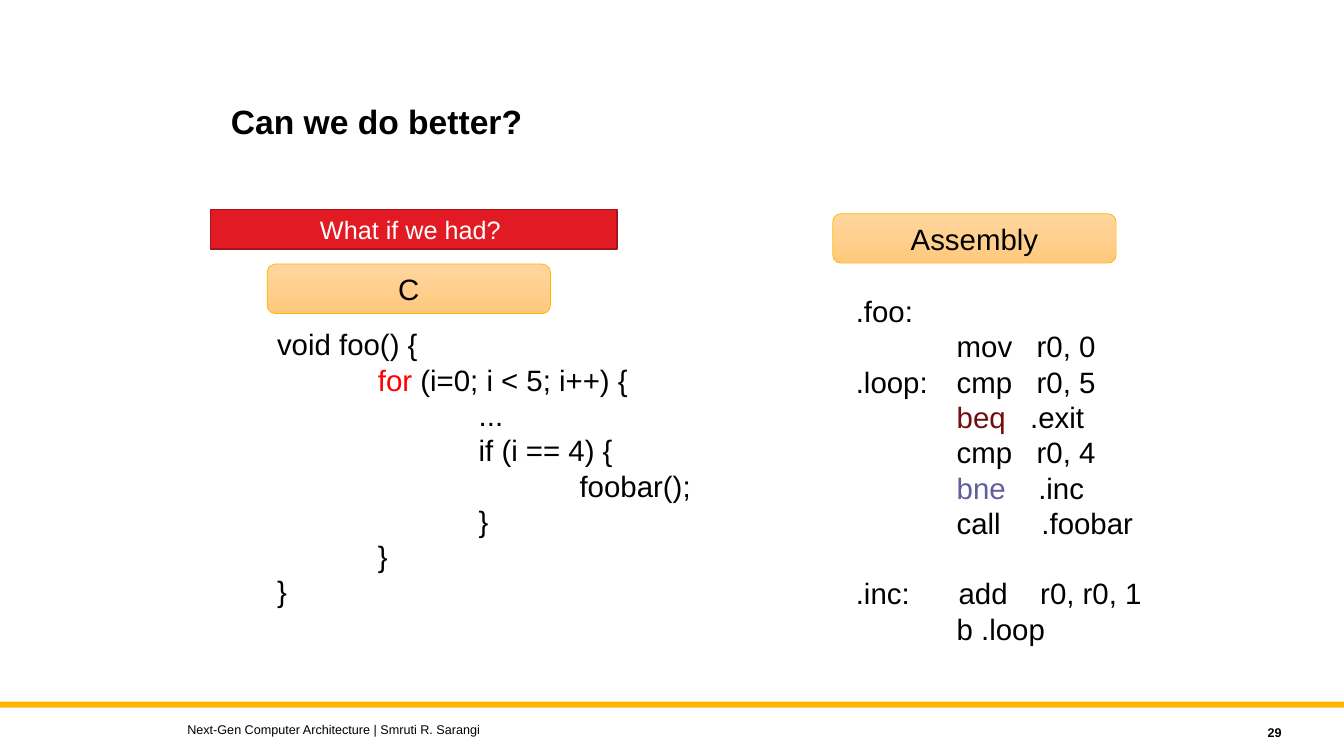
from dataclasses import dataclass

from lxml import etree
from pptx import Presentation, util as u
from pptx.dml.color import RGBColor
from pptx.enum import shapes, text
from pptx.oxml import ns

# Content: each code line is a list of (text, colour name) spans
TITLE = "Can we do better?"
QUESTION = "What if we had? "
FOOTER = "Next-Gen Computer Architecture | Smruti R. Sarangi"
PAGE_NUMBER = "29"
C_CODE = [
    [("void foo() {", "ink")],
    [("\t", "ink"), ("for", "loop"), (" (i=0; i < 5; i++) {", "ink")],
    [("\t\t...", "ink")],
    [("\t\tif (i == 4) {", "ink")],
    [("\t\t\tfoobar();", "ink")],
    [("\t\t}", "ink")],
    [("\t}", "ink")],
    [("}", "ink")],
]
ASSEMBLY_CODE = [
    [(".foo:", "ink")],
    [("\tmov   r0, 0", "ink")],
    [(".loop:\tcmp   r0, 5", "ink")],
    [("\t", "ink"), ("beq", "exit_branch"), ("   .exit", "ink")],
    [("\tcmp   r0, 4", "ink")],
    [("\t", "ink"), ("bne", "skip_branch"), ("    .inc", "ink")],
    [("\tcall     .foobar", "ink")],
    [(".inc:      add    r0, r0, 1", "ink")],
    [("\tb .loop", "ink")],
]
INCREMENT_LINE = 7  # set off from the lines above by one line


@dataclass(frozen=True)
class Theme:
    font: str = "Arial"
    ink: str = "000000"
    white: str = "FFFFFF"
    loop: str = "FF0000"
    exit_branch: str = "710D11"
    skip_branch: str = "625D9C"
    gold: str = "FFB600"
    label_top: str = "FFD69E"
    label_bottom: str = "FFC97C"
    red: str = "E21A23"
    dark_red: str = "A7131A"
    title_size: float = 24
    code_size: float = 21
    code_pitch: float = 25.2
    question_size: float = 18
    footer_size: float = 9


THEME = Theme()
LEFT, CENTER, RIGHT = text.PP_ALIGN.LEFT, text.PP_ALIGN.CENTER, text.PP_ALIGN.RIGHT

# Layout, in inches: left, top, width, height
WIDTH, HEIGHT = 13.33, 7.5
TAB_STOPS = (1, 2, 3)
LABEL_SIZE = (2.81, 0.49)
TITLE_AREA = (2.19, 1, 8.62, 1.09)
QUESTION_AREA = (2.09, 2.08, 4.03, 0.39)
BAND_AREA = (0, 6.96, WIDTH, 0.06)
FOOTER_AREA = (1.76, 7.11, 8, 0.25)
NUMBER_AREA = (11.41, 7.14, 1.4, 0.25)
COLUMNS = [
    ("C", (2.65, 2.62), (2.65, 3.19, 4.34, 2.93), C_CODE, None),
    ("Assembly", (8.26, 2.12), (8.39, 2.86, 3.07, 3.99), ASSEMBLY_CODE, INCREMENT_LINE),
]


def inches(area):
    return [u.Inches(length) for length in area]


def rgb(name):
    return RGBColor.from_string(getattr(THEME, name))


def set_font(para, size, color="ink", bold=False, align=LEFT):
    para.alignment = align
    font = para.font
    font.name, font.size, font.bold = THEME.font, u.Pt(size), bold
    font.color.rgb = rgb(color)


def set_tabs(para):
    tabs = etree.SubElement(para._p.get_or_add_pPr(), ns.qn("a:tabLst"))
    for position in inches(TAB_STOPS):
        etree.SubElement(tabs, ns.qn("a:tab"), pos=str(position), algn="l")


def add_block(page, kind, area, fill, line=None, width=0):
    block = page.shapes.add_shape(kind, *inches(area))
    block.shadow.inherit = False
    if isinstance(fill, tuple):
        block.fill.gradient()
        block.fill.gradient_angle = 270
        for stop, color in zip(block.fill.gradient_stops, fill):
            stop.color.rgb = rgb(color)
    else:
        block.fill.solid()
        block.fill.fore_color.rgb = rgb(fill)
    if line:
        block.line.color.rgb = rgb(line)
        block.line.width = u.Pt(width)
    else:
        block.line.fill.background()
    return block


def write_line(shape, words, size, **style):
    frame = shape.text_frame
    frame.word_wrap = True
    frame.vertical_anchor = text.MSO_ANCHOR.MIDDLE
    frame.text = words
    set_font(frame.paragraphs[0], size, **style)


def add_code(page, area, lines, gap_line):
    frame = page.shapes.add_textbox(*inches(area)).text_frame
    frame.word_wrap = True
    frame.margin_right = 0
    for index, spans in enumerate(lines):
        para = frame.add_paragraph() if index else frame.paragraphs[0]
        para.line_spacing = u.Pt(THEME.code_pitch)
        if index == gap_line:
            para.space_before = u.Pt(THEME.code_pitch)
        set_tabs(para)
        set_font(para, THEME.code_size)
        for words, color in spans:
            span = para.add_run()
            span.text = words
            if color != "ink":
                span.font.color.rgb = rgb(color)


def main():
    deck = Presentation()
    deck.slide_width, deck.slide_height = inches((WIDTH, HEIGHT))
    page = deck.slides.add_slide(deck.slide_layouts[5])
    box, round_box = shapes.MSO_SHAPE.RECTANGLE, shapes.MSO_SHAPE.ROUNDED_RECTANGLE

    # Footer band
    add_block(page, box, BAND_AREA, "gold")

    # Title
    title = page.shapes.title
    title.left, title.top, title.width, title.height = inches(TITLE_AREA)
    write_line(title, TITLE, THEME.title_size, bold=True)
    title.text_frame.vertical_anchor = text.MSO_ANCHOR.TOP
    title.text_frame.paragraphs[0].line_spacing = 0.9

    # Code columns, each under its label
    for name, corner, area, lines, gap_line in COLUMNS:
        add_code(page, area, lines, gap_line)
        label = add_block(page, round_box, corner + LABEL_SIZE,
                          ("label_top", "label_bottom"), "gold", 0.5)
        write_line(label, name, THEME.code_size, align=CENTER)

    # Question
    question = add_block(page, box, QUESTION_AREA, "red", "dark_red", 1)
    write_line(question, QUESTION, THEME.question_size, color="white", align=CENTER)

    # Footer and page number
    for words, area, bold, align in [(FOOTER, FOOTER_AREA, False, LEFT),
                                     (PAGE_NUMBER, NUMBER_AREA, True, RIGHT)]:
        note = page.shapes.add_textbox(*inches(area))
        write_line(note, words, THEME.footer_size, bold=bold, align=align)

    deck.save("out.pptx")


if __name__ == "__main__":
    main()
